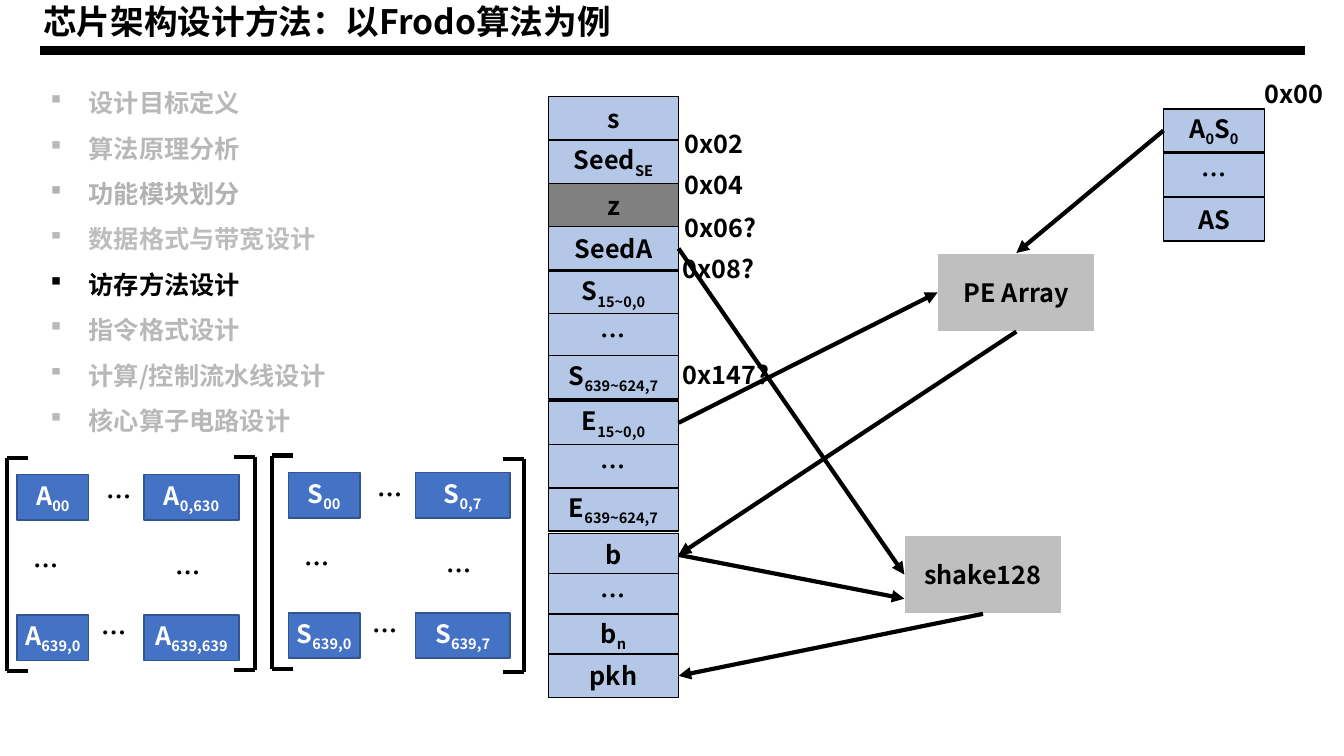
import dataclasses

import pptx
import pptx.dml.color
import pptx.enum.dml
import pptx.enum.shapes
import pptx.enum.text
import pptx.oxml
import pptx.oxml.ns
import pptx.util
from lxml import etree

TITLE = "芯片架构设计方法：以Frodo算法为例"
# Step, opacity in percent
STEPS = [("设计目标定义", 27), ("算法原理分析", 27), ("功能模块划分", 29),
         ("数据格式与带宽设计", 26), ("访存方法设计", 100), ("指令格式设计", 27),
         ("计算/控制流水线设计", 27), ("核心算子电路设计", 27)]

# In cell texts every second part between bars is a subscript.
# Top, row pitch, cells
MEMORY = [(0.96, 0.43, ["s", "Seed|SE", "z", "SeedA"]),
          (2.69, 0.42, ["S|15~0,0", "…", "S|639~624,7"]),
          (3.98, 0.43, ["E|15~0,0", "…", "E|639~624,7"]),
          (5.29, 0.4, ["b", "…", "b|n", "pkh"])]
RESULTS = (1.08, 0.44, ["A|0|S|0", "…", "AS"])
ADDRESSES = [("0x02", 6.69, 1.22), ("0x04", 6.69, 1.63), ("0x06?", 6.69, 2.06),
             ("0x08?", 6.67, 2.46), ("0x147?", 6.67, 3.52), ("0x00", 12.44, 0.73)]
UNITS = {"PE Array": (9.3, 2.51), "shake128": (8.97, 5.31)}

# Left, top, corner cells row by row
MATRICES = [(0.17, 4.71, ["A|00", "A|0,630", "A|639,0", "A|639,639"]),
            (2.86, 4.69, ["S|00", "S|0,7", "S|639,0", "S|639,7"])]
MATRIX_DOTS = [(0.79, 0.02), (0.06, 0.7), (0.74, 1.37), (1.47, 0.77)]
# Spine x, top, direction of the hooks
BRACKETS = [(0.07, 4.54, 1), (2.53, 4.53, -1), (2.7, 4.52, 1), (5.2, 4.55, -1)]

TOP, LEFT, BOTTOM, RIGHT = range(4)
# From cell, side, to cell, side
FLOWS = [("E|15~0,0", RIGHT, "PE Array", LEFT), ("A|0|S|0", LEFT, "PE Array", TOP),
         ("PE Array", BOTTOM, "b", RIGHT), ("SeedA", RIGHT, "shake128", LEFT),
         ("shake128", BOTTOM, "pkh", RIGHT)]
HASH_INPUT = (8.97, 5.94)


@dataclasses.dataclass(frozen=True)
class Theme:
    font: str = "Noto Sans CJK SC"
    title: float = 24
    body: float = 18
    ink: str = "000000"
    white: str = "FFFFFF"
    memory: str = "B4C7E7"
    unused: str = "808080"
    unit: str = "BFBFBF"
    matrix: str = "4472C4"
    matrix_edge: str = "325491"


THEME = Theme()
inch = pptx.util.Inches
rgb = pptx.dml.color.RGBColor.from_string
qn = pptx.oxml.ns.qn


def style(run, size=THEME.body, color=THEME.ink, opacity=100):
    font = run.font
    font.name, font.size, font.bold = THEME.font, pptx.util.Pt(size), True
    font.color.rgb = rgb(color)
    etree.SubElement(run._r.rPr, qn("a:ea"), typeface=THEME.font)
    if opacity < 100:
        fill = run._r.rPr.find(qn("a:solidFill"))[0]
        etree.SubElement(fill, qn("a:alpha"), val=str(opacity * 1000))


def place(shape, left, top, width, height):
    shape.left, shape.top = inch(left), inch(top)
    shape.width, shape.height = inch(width), inch(height)


def add_box(slide, text, left, top, width, height, fill, edge, color=THEME.ink, inset=0.1):
    box = slide.shapes.add_shape(pptx.enum.shapes.MSO_SHAPE.RECTANGLE,
                                 inch(left), inch(top), inch(width), inch(height))
    box.shadow.inherit = False
    box.fill.solid()
    box.fill.fore_color.rgb = rgb(fill)
    box.line.color.rgb = rgb(edge)
    box.line.width = pptx.util.Pt(1)
    frame = box.text_frame
    frame.margin_left = frame.margin_right = inch(inset)
    frame.vertical_anchor = pptx.enum.text.MSO_ANCHOR.MIDDLE
    line = frame.paragraphs[0]
    line.alignment = pptx.enum.text.PP_ALIGN.CENTER
    for index, part in enumerate(text.split("|")):
        run = line.add_run()
        run.text = part
        style(run, color=color)
        if index % 2:
            run._r.rPr.set("baseline", "-25000")
    return box


def add_stack(slide, left, width, top, pitch, cells):
    return {text: add_box(slide, text, left, top + row * pitch, width, 0.43,
                          THEME.unused if text == "z" else THEME.memory, THEME.ink)
            for row, text in enumerate(cells)}


def add_label(slide, text, left, top, width):
    label = slide.shapes.add_textbox(inch(left), inch(top), inch(width), inch(0.4))
    label.text_frame.word_wrap = True
    label.text_frame.text = text
    style(label.text_frame.paragraphs[0].runs[0])


def add_line(shapes, start=(0, 0), end=(0, 0), width=3, arrow=False):
    line = shapes.add_connector(pptx.enum.shapes.MSO_CONNECTOR.STRAIGHT,
                                *map(inch, (*start, *end)))
    line.line.color.rgb = rgb(THEME.ink)
    line.line.width = pptx.util.Pt(width)
    if arrow:
        etree.SubElement(line.line._get_or_add_ln(), qn("a:tailEnd"), type="triangle")
    etree.SubElement(line._element.spPr, qn("a:effectLst"))
    return line


def add_headings(slide):
    title, steps = slide.placeholders
    place(title, 0.33, -0.04, 12.61, 0.5)
    place(steps, 0.4, 0.67, 4, 3.68)
    for holder in (title, steps):
        holder.text_frame.auto_size = pptx.enum.text.MSO_AUTO_SIZE.NONE
        holder.text_frame.vertical_anchor = pptx.enum.text.MSO_ANCHOR.TOP
    title.text_frame.text = TITLE
    heading = title.text_frame.paragraphs[0]
    heading.alignment = pptx.enum.text.PP_ALIGN.LEFT
    style(heading.runs[0], THEME.title)

    steps.text_frame.text = "\n".join(step for step, _ in STEPS)
    for item, (_, opacity) in zip(steps.text_frame.paragraphs, STEPS):
        item.line_spacing = 1.5
        item.space_before = pptx.util.Pt(0)
        style(item.runs[0], opacity=opacity)
        properties = item._p.get_or_add_pPr()
        properties.set("marL", str(inch(0.38)))
        properties.set("indent", str(-inch(0.38)))
        etree.SubElement(properties, qn("a:buFont"), typeface="Wingdings", charset="2")
        etree.SubElement(properties, qn("a:buChar"), char="§")


def add_matrices(slide):
    for left, top, cells in MATRICES:
        for index, text in enumerate(cells):
            row, column = divmod(index, 2)
            add_box(slide, text, left + column * 1.26, top + row * 1.39,
                    (0.71, 0.94)[column], 0.45, THEME.matrix, THEME.matrix_edge,
                    THEME.white, 0)
        for x, y in MATRIX_DOTS:
            add_label(slide, "…", left + x, top + y, 0.45)
    for x, top, direction in BRACKETS:
        bracket = slide.shapes.add_group_shape().shapes
        bottom, hook = top + 2.12, x + 0.21 * direction
        add_line(bracket, (hook, top), (x, top))
        add_line(bracket, (hook, bottom), (x, bottom))
        add_line(bracket, (x, top), (x, bottom))


def main():
    deck = pptx.Presentation()
    deck.slide_width, deck.slide_height = inch(13.33), inch(7.5)
    slide = deck.slides.add_slide(deck.slide_layouts[1])
    add_headings(slide)
    add_line(slide.shapes, (0.4, 0.5), (12.94, 0.5), 6)
    add_matrices(slide)

    cells = {}
    for section in MEMORY:
        cells.update(add_stack(slide, 5.44, 1.29, *section))
    cells.update(add_stack(slide, 11.54, 1, *RESULTS))
    for name, (left, top) in UNITS.items():
        cells[name] = add_box(slide, name, left, top, 1.56, 0.78, THEME.unit, THEME.white)
    for text, left, top in ADDRESSES:
        add_label(slide, text, left, top, 0.82 if len(text) == 4 else 1.19)

    for source, source_side, target, target_side in FLOWS:
        flow = add_line(slide.shapes, arrow=True)
        flow.begin_connect(cells[source], source_side)
        flow.end_connect(cells[target], target_side)
    hashing = add_line(slide.shapes, end=HASH_INPUT, arrow=True)
    hashing.begin_connect(cells["b"], RIGHT)
    deck.save("out.pptx")


if __name__ == "__main__":
    main()
